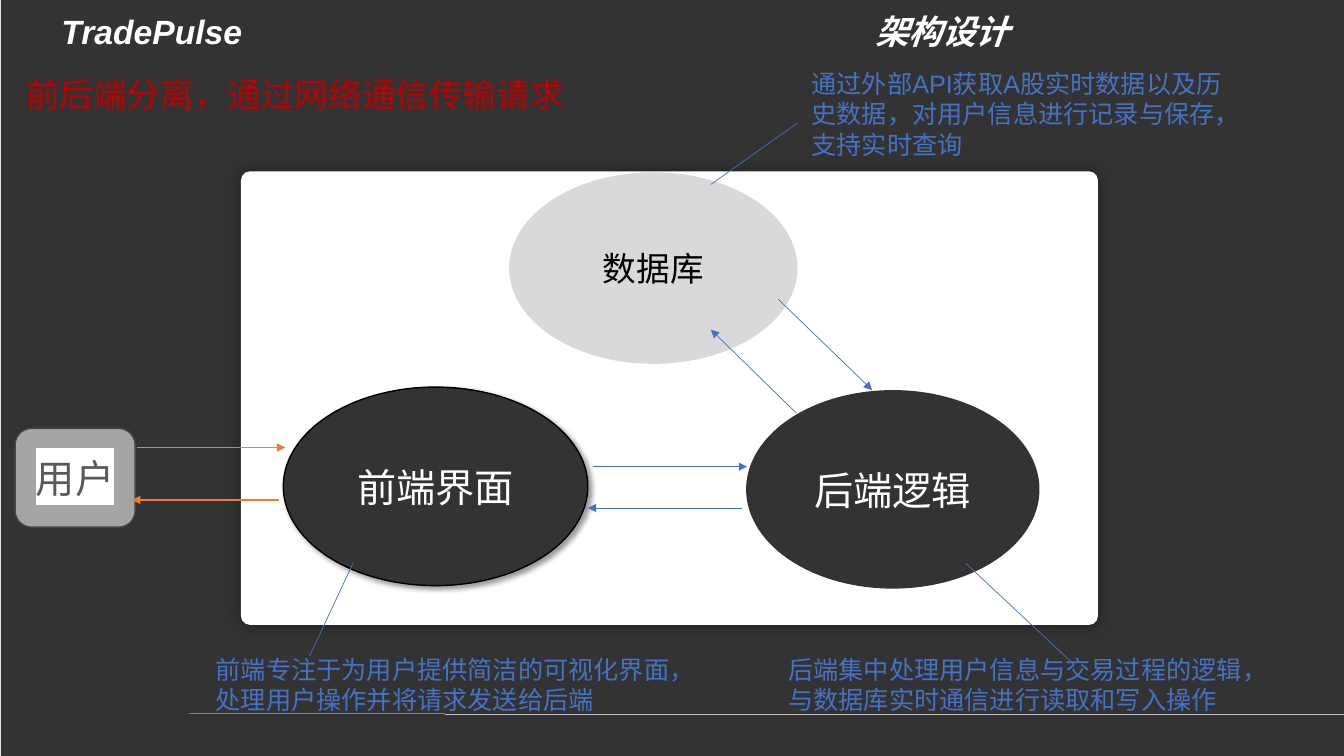
from lxml import etree
from pptx import Presentation
from pptx import util as u
from pptx.dml.color import RGBColor
from pptx.enum import shapes, text
from pptx.oxml import ns

DARK = RGBColor(0x33, 0x33, 0x33)
WHITE = RGBColor(0xFF, 0xFF, 0xFF)
BLACK = RGBColor(0, 0, 0)
LIGHT_GRAY = RGBColor(0xD9, 0xD9, 0xD9)
SILVER = RGBColor(0xBF, 0xBF, 0xBF)
USER_GRAY = RGBColor(0xA5, 0xA5, 0xA5)
RULE_GRAY = RGBColor(0x80, 0x80, 0x80)
TEXT_GRAY = RGBColor(0x59, 0x59, 0x59)
EDGE_GRAY = RGBColor(0x48, 0x48, 0x48)
BLUE = RGBColor(0x44, 0x72, 0xC4)
ORANGE = RGBColor(0xED, 0x7D, 0x31)
RED = RGBColor(0xC0, 0, 0)
LATIN_FONT = "Arial"
CHINESE_FONT = "Noto Sans CJK SC"


def add_element(parent, tag, **attributes):
    return etree.SubElement(parent, ns.qn(tag), attributes)


def write(shape, wording, size, color, font=LATIN_FONT, align=text.PP_ALIGN.LEFT,
          anchor=text.MSO_ANCHOR.TOP):
    frame = shape.text_frame
    frame.word_wrap = True
    frame.vertical_anchor = anchor
    frame.text = wording
    paragraph = frame.paragraphs[0]
    paragraph.alignment = align
    run = paragraph.runs[0]
    run.font.size = u.Pt(size)
    run.font.name = font
    run.font.color.rgb = color
    add_element(run.font._element, "a:ea", typeface=CHINESE_FONT)
    return run


def add_block(slide, kind, box, fill, edge=None):
    shape = slide.shapes.add_shape(kind, *map(u.Inches, box))
    shape.shadow.inherit = False
    shape.fill.solid()
    shape.fill.fore_color.rgb = fill
    if edge is None:
        shape.line.fill.background()
    else:
        shape.line.color.rgb = edge
        shape.line.width = u.Pt(1)
    return shape


def label(shape, wording, size, color):
    return write(shape, wording, size, color, align=text.PP_ALIGN.CENTER,
                 anchor=text.MSO_ANCHOR.MIDDLE)


def add_shadow(shape, blur, distance, degrees):
    effects = shape.element.spPr.find(ns.qn("a:effectLst"))
    shadow = add_element(effects, "a:outerShdw", blurRad=str(u.Pt(blur)),
                         dist=str(u.Pt(distance)), dir=str(degrees * 60000),
                         algn="ctr", rotWithShape="0")
    color = add_element(shadow, "a:srgbClr", val=str(BLACK))
    add_element(color, "a:alpha", val="40000")


def highlight(run, color):
    mark = etree.Element(ns.qn("a:highlight"))
    add_element(mark, "a:srgbClr", val=str(color))
    run.font._element.find(ns.qn("a:latin")).addprevious(mark)


def add_note(slide, wording, box, size=18, color=BLUE, font=LATIN_FONT):
    note = slide.shapes.add_textbox(*map(u.Inches, box))
    write(note, wording, size, color, font)


def add_line(slide, start, end, color=BLUE, width=0.5, arrow=False):
    line = slide.shapes.add_connector(shapes.MSO_CONNECTOR.STRAIGHT,
                                      *map(u.Inches, start + end))
    line.line.color.rgb = color
    line.line.width = u.Pt(width)
    if arrow:
        add_element(line.line._get_or_add_ln(), "a:tailEnd", type="triangle")
    add_element(line.element.spPr, "a:effectLst")


def add_title(slide):
    title = slide.shapes.title
    title.left, title.top = u.Inches(0.51), u.Inches(0.06)
    title.width, title.height = u.Inches(11.93), u.Inches(0.5)
    run = write(title, "TradePulse\t架构设计", 24, WHITE)
    run.font.bold = True
    run.font.italic = True
    properties = title.text_frame.paragraphs[0]._p.get_or_add_pPr()
    tabs = add_element(properties, "a:tabLst")
    add_element(tabs, "a:tab", pos=str(u.Inches(8.07)), algn="l")
    return title


def main():
    presentation = Presentation()
    presentation.slide_width = u.Inches(13.33)
    presentation.slide_height = u.Inches(7.5)
    slide = presentation.slides.add_slide(presentation.slide_layouts[5])
    kinds = shapes.MSO_SHAPE

    title = add_title(slide)
    backdrop = add_block(slide, kinds.RECTANGLE, (0.01, 0, 13.33, 7.5), DARK)
    title.element.addprevious(backdrop.element)
    panel = add_block(slide, kinds.ROUNDED_RECTANGLE, (2.39, 1.7, 8.5, 4.5), WHITE)
    panel.adjustments[0] = 0.02
    add_shadow(panel, 11, 0, 0)

    add_line(slide, (1.87, 7.08), (4.41, 7.08), RULE_GRAY)
    add_line(slide, (4.41, 7.09), (13.46, 7.09), SILVER)

    frontend = add_block(slide, kinds.OVAL, (2.81, 3.84, 3.02, 1.97), DARK, BLACK)
    add_shadow(frontend, 4, 3, 45)
    label(frontend, "前端界面", 28, WHITE)
    user = add_block(slide, kinds.ROUNDED_RECTANGLE, (0.15, 4.25, 1.19, 0.98),
                     USER_GRAY, EDGE_GRAY)
    highlight(label(user, "用户", 28, TEXT_GRAY), WHITE)
    backend = add_block(slide, kinds.OVAL, (7.4, 3.87, 2.91, 1.97), DARK)
    label(backend, "后端逻辑", 28, WHITE)
    database = add_block(slide, kinds.OVAL, (5.05, 1.71, 2.86, 1.9), LIGHT_GRAY)
    label(database, "数据库", 24, BLACK)

    for start, end in (((1.36, 4.44), (2.83, 4.44)), ((2.77, 4.96), (1.31, 4.96))):
        add_line(slide, start, end, ORANGE, 1, arrow=True)
    for start, end in (
        ((5.88, 4.63), (7.41, 4.63)),
        ((7.36, 5.04), (5.83, 5.04)),
        ((7.72, 2.97), (8.65, 3.87)),
        ((7.9, 4.1), (7.05, 3.27)),
    ):
        add_line(slide, start, end, arrow=True)
    for start, end in (
        ((3.5, 5.59), (3.07, 6.51)),
        ((9.58, 5.59), (10.65, 6.59)),
        ((7.05, 1.83), (7.91, 1.22)),
    ):
        add_line(slide, start, end)

    add_note(slide, "前后端分离，通过网络通信传输请求", (0.16, 0.68, 5.85, 0.5),
             24, RED, CHINESE_FONT)
    add_note(slide, "前端专注于为用户提供简洁的可视化界面，处理用户操作并将请求发送给后端",
             (2.04, 6.44, 5.02, 0.71))
    add_note(slide, "后端集中处理用户信息与交易过程的逻辑，与数据库实时通信进行读取和写入操作",
             (7.72, 6.44, 5.15, 0.71))
    add_note(slide, "通过外部API获取A股实时数据以及历史数据，对用户信息进行记录与保存，支持实时查询",
             (7.95, 0.63, 4.5, 1.01))

    presentation.save("out.pptx")


if __name__ == "__main__":
    main()
